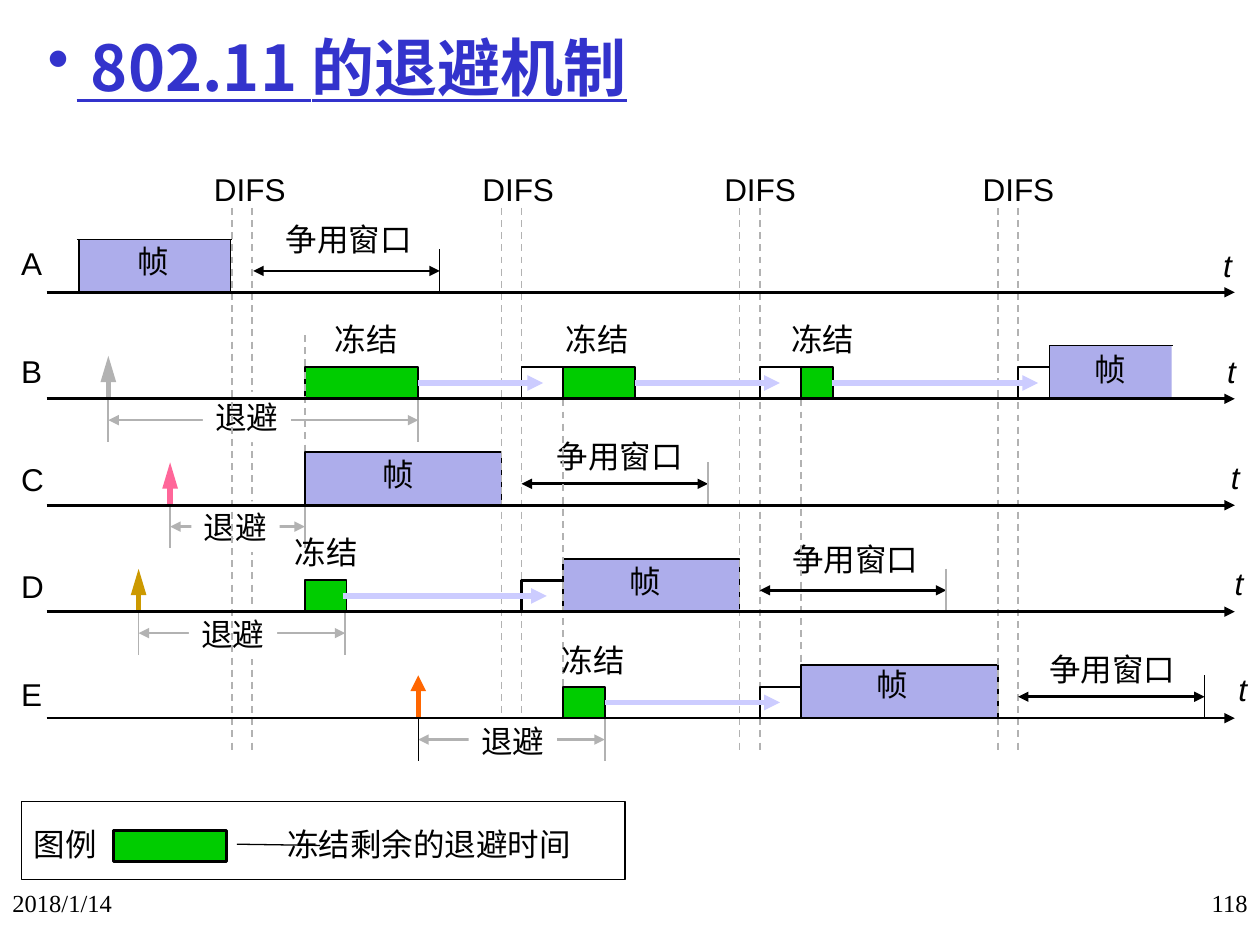
from lxml.etree import SubElement
from pptx import Presentation
from pptx.dml.color import RGBColor
from pptx.enum.dml import MSO_LINE
from pptx.enum.shapes import MSO_CONNECTOR, MSO_SHAPE
from pptx.enum.text import MSO_ANCHOR, PP_ALIGN
from pptx.oxml.ns import qn
from pptx.util import Inches, Pt

BLACK, GREY, WHITE = "000000", "B2B2B2", "FFFFFF"
FRAME, FROZEN, COUNTDOWN, TITLE = "ADADEB", "00CC00", "CCCCFF", "3333CC"
STATIONS = "ABCDE"
FIRST_AXIS, ROW_STEP = 2.32, 0.845
AXIS_LEFT, AXIS_RIGHT = 0.37, 9.8
DIFS_STARTS, DIFS_WIDTH = (1.84, 3.98, 5.87, 7.92), 0.16
DIFS_LABELS = (1.6, 3.73, 5.65, 7.7)
WINDOW_WIDTH, TICK = 1.48, 0.34
FRAME_HEIGHT, SLOT_HEIGHT = 0.42, 0.25

# station, left, width, label left, label top
FRAMES = [("A", 0.63, 1.2, 0.99, 1.87), ("B", 8.33, 0.97, 8.59, 2.73),
          ("C", 2.42, 1.56, 2.94, 3.56), ("D", 4.47, 1.4, 4.9, 4.41),
          ("E", 6.36, 1.56, 6.86, 5.23)]
# station, left, tick colour, tick width, label left, label top
WINDOWS = [("A", 2.01, BLACK, 0.75, 2.17, 1.7), ("C", 4.14, GREY, 1, 4.32, 3.42),
           ("D", 6.03, GREY, 1, 6.19, 4.24), ("E", 8.08, BLACK, 0.75, 8.23, 5.11)]
# station, left, right, arrival colour, head length, first tick colour, label left, label top
BACKOFFS = [("B", 0.86, 3.32, GREY, "lg", GREY, 1.61, 3.11),
            ("C", 1.35, 2.42, "FF6699", "lg", GREY, 1.52, 3.98),
            ("D", 1.1, 2.74, "CC9900", "lg", GREY, 1.5, 4.83),
            ("E", 3.32, 4.8, "FF6600", "med", BLACK, 3.72, 5.68)]
# station, left, width, fill, line width
SLOTS = [("B", 2.42, 0.9, FROZEN, 1), ("B", 4.14, 0.33, WHITE, 1), ("B", 4.47, 0.57, FROZEN, 1),
         ("B", 6.03, 0.33, WHITE, 1), ("B", 6.36, 0.25, FROZEN, 1), ("B", 8.08, 0.25, WHITE, 1),
         ("D", 2.42, 0.33, FROZEN, 1), ("D", 4.14, 0.33, WHITE, 1.5),
         ("E", 4.47, 0.33, FROZEN, 1), ("E", 6.03, 0.33, None, 1)]
# station, left, right
COUNTDOWNS = [("B", 3.32, 4.31), ("B", 5.04, 6.19), ("B", 6.6, 8.24),
              ("D", 2.72, 4.34), ("E", 4.8, 6.19)]
FROZEN_LABELS = [(2.56, 2.49), (4.39, 2.49), (6.18, 2.49), (2.24, 4.18), (4.36, 5.04)]
GUIDES = [(2.42, 2.66, 3.59), (4.47, 3.17, 5.45), (6.36, 3.17, 5.28)]


def axis(station):
    """Return the height of a station's time axis."""
    return FIRST_AXIS + ROW_STEP * STATIONS.index(station)


def color(value):
    """Turn a hex string into a colour."""
    return RGBColor.from_string(value)


def add_line(slide, x1, y1, x2, y2, stroke=BLACK, width=1.0, dash=False, head=False, tail=False, length="med"):
    """Draw a straight line, with arrowheads where asked."""
    connector = slide.shapes.add_connector(
        MSO_CONNECTOR.STRAIGHT, Inches(x1), Inches(y1), Inches(x2), Inches(y2))
    connector.line.color.rgb = color(stroke)
    connector.line.width = Pt(width)
    if dash:
        connector.line.dash_style = MSO_LINE.DASH
    properties = connector.line._get_or_add_ln()
    for tag, wanted in (("a:headEnd", head), ("a:tailEnd", tail)):
        if wanted:
            SubElement(properties, qn(tag), type="triangle", w="med", len=length)
    SubElement(connector._element.spPr, qn("a:effectLst"))


def add_box(slide, left, top, width, height, fill=None, line_width=None):
    """Draw a rectangle."""
    shape = slide.shapes.add_shape(
        MSO_SHAPE.RECTANGLE, Inches(left), Inches(top), Inches(width), Inches(height))
    shape.shadow.inherit = False
    if fill:
        shape.fill.solid()
        shape.fill.fore_color.rgb = color(fill)
    else:
        shape.fill.background()
    if line_width:
        shape.line.color.rgb = color(BLACK)
        shape.line.width = Pt(line_width)
    else:
        shape.line.fill.background()


def add_text(slide, text, left, top, width, height=0.4, size=18, font="Arial", stroke=BLACK, wrap=False):
    """Place a text box and return its paragraph."""
    box = slide.shapes.add_textbox(Inches(left), Inches(top), Inches(width), Inches(height))
    box.text_frame.word_wrap = wrap
    paragraph = box.text_frame.paragraphs[0]
    paragraph.text = text
    paragraph.font.size = Pt(size)
    paragraph.font.name = font
    paragraph.font.color.rgb = color(stroke)
    return paragraph


def add_title(slide):
    """Write the bulleted title."""
    box = slide.shapes.add_textbox(Inches(0.28), Inches(0.13), Inches(8.52), Inches(0.79))
    box.text_frame.word_wrap = True
    box.text_frame.vertical_anchor = MSO_ANCHOR.MIDDLE
    paragraph = box.text_frame.paragraphs[0]
    paragraph.text = " 802.11 的退避机制"
    properties = paragraph._p.get_or_add_pPr()
    properties.set("marL", str(Inches(0.23)))
    properties.set("indent", str(-Inches(0.23)))
    SubElement(properties, qn("a:buChar"), char="•")
    font = paragraph.runs[0].font
    font.size, font.bold, font.underline = Pt(36), True, True
    font.color.rgb = color(TITLE)
    font.name = "Noto Sans CJK SC"
    SubElement(font._element, qn("a:ea"), typeface="Noto Sans CJK SC")


def add_legend(slide):
    """Draw the legend under the diagram."""
    paragraph = add_text(slide, "图例\t冻结剩余的退避时间", 0.17, 6.5, 4.83, wrap=True)
    tabs = SubElement(paragraph._p.get_or_add_pPr(), qn("a:tabLst"))
    SubElement(tabs, qn("a:tab"), pos=str(Inches(2.01)), algn="l")
    properties = paragraph._p.pPr
    properties.insert(0, tabs)
    add_box(slide, 0.9, 6.59, 0.9, 0.25, FROZEN, 1.5)
    add_line(slide, 1.88, 6.7, 2.54, 6.71, width=0.75)
    add_box(slide, 0.17, 6.36, 4.79, 0.62, line_width=0.75)


def add_diagram(slide):
    """Draw the timing of the five stations."""
    for station, left, width, label_left, label_top in FRAMES:
        top = axis(station) - FRAME_HEIGHT
        add_box(slide, left, top, width, FRAME_HEIGHT, FRAME, None if station == "B" else 1)
        add_text(slide, "帧", label_left, label_top, 0.45)
    add_line(slide, 0.61, 1.9, 1.84, 1.9, width=0.75)
    corner = slide.shapes.build_freeform(Inches(8.33), Inches(3.17), scale=1.0)
    corner.add_line_segments([(Inches(8.33), Inches(2.74)), (Inches(9.31), Inches(2.74))], close=False)
    outline = corner.convert_to_shape()
    outline.shadow.inherit = False
    outline.fill.background()
    outline.line.color.rgb = color(BLACK)
    outline.line.width = Pt(0.75)

    edges = [start + offset for start in DIFS_STARTS for offset in (0, DIFS_WIDTH)]
    for x in edges[1:]:
        add_line(slide, x, 1.65, x, 5.95, GREY, dash=True)
    for left in DIFS_LABELS:
        add_text(slide, "DIFS", left, 1.3, 0.77)
    for station, left, tick_color, tick_width, label_left, label_top in WINDOWS:
        base, right = axis(station), left + WINDOW_WIDTH
        add_line(slide, left, base - TICK / 2, right, base - TICK / 2, width=1.5, head=True, tail=True)
        add_line(slide, right, base - TICK, right, base, tick_color, tick_width)
        add_text(slide, "争用窗口", label_left, label_top, 1.2)
    for station, left, width, fill, line_width in SLOTS:
        add_box(slide, left, axis(station) - SLOT_HEIGHT, width, SLOT_HEIGHT, fill, line_width)
    for x, top, bottom in GUIDES:
        add_line(slide, x, top, x, bottom, GREY, dash=True)
    for station, left, right, arrival, length, tick_color, label_left, label_top in BACKOFFS:
        base = axis(station)
        add_line(slide, left, base, left, base - TICK, arrival, 3, tail=True, length=length)
        add_line(slide, left, base + TICK / 2, right, base + TICK / 2, GREY, 1.5, head=True, tail=True)
        add_box(slide, label_left, label_top, 0.7, 0.4, WHITE)
        add_text(slide, "退避", label_left, label_top, 0.7)
        add_line(slide, left, base, left, base + TICK, tick_color, 0.75 if tick_color == BLACK else 1)
        add_line(slide, right, base, right, base + TICK, GREY)
    for station, left, right in COUNTDOWNS:
        y = axis(station) - SLOT_HEIGHT / 2
        add_line(slide, left, y, right, y, COUNTDOWN, 3, tail=True)
    add_line(slide, edges[0], 1.65, edges[0], 5.95, GREY, dash=True)
    for left, top in FROZEN_LABELS:
        add_text(slide, "冻结", left, top, 0.7)
    for index, station in enumerate(STATIONS):
        base = axis(station)
        add_text(slide, station, 0.07, 1.89 + 0.855 * index, 0.37)
        add_text(slide, "t", 9.61 + 0.03 * index, 1.9 + 0.843 * index, 0.27).font.italic = True
        add_line(slide, AXIS_LEFT, base, AXIS_RIGHT, base, width=1.5, tail=True)


def main():
    """Build and save the slide."""
    presentation = Presentation()
    presentation.slide_width, presentation.slide_height = Inches(10), Inches(7.5)
    slide = presentation.slides.add_slide(presentation.slide_layouts[6])
    add_legend(slide)
    add_diagram(slide)
    add_title(slide)
    add_text(slide, "2018/1/14", 0, 7, 2.08, 0.5, 14, "Times New Roman", wrap=True)
    number = add_text(slide, "118", 7.92, 7, 2.08, 0.5, 14, "Times New Roman", wrap=True)
    number.alignment = PP_ALIGN.RIGHT
    presentation.save("out.pptx")


if __name__ == "__main__":
    main()
